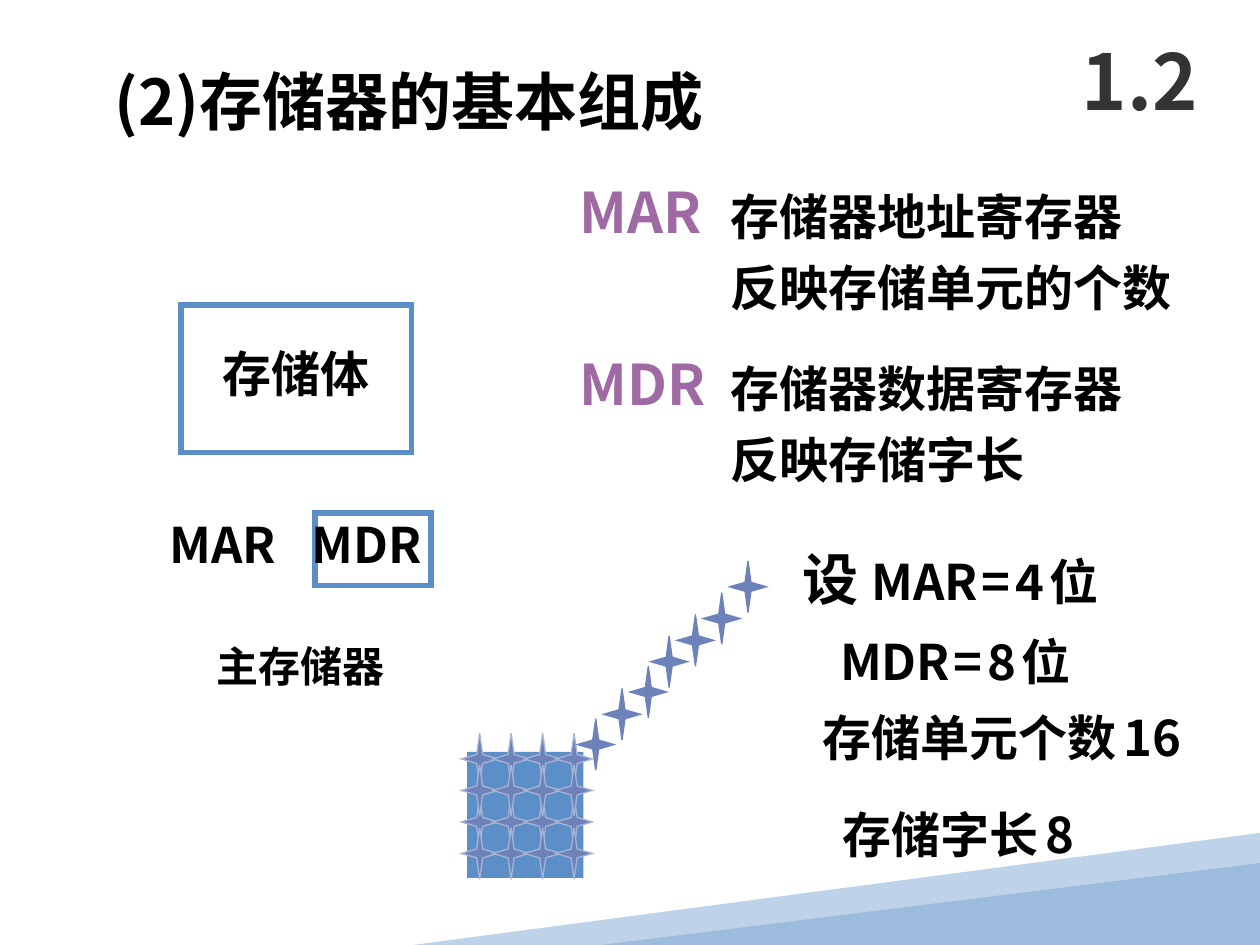
from lxml.etree import SubElement
from pptx import Presentation
from pptx.dml.color import RGBColor
from pptx.enum.shapes import MSO_SHAPE as Shape
from pptx.enum.text import MSO_ANCHOR as Anchor, MSO_AUTO_SIZE as AutoSize, PP_ALIGN as Align
from pptx.oxml.ns import qn
from pptx.util import Cm, Pt

FONT = "Noto Sans CJK SC"
BLUE, STAR, PURPLE = "5C8FC7", "6E82BA", "9F69A3"


def color(value):
    return RGBColor.from_string(value)


def paint(shape, fill=None, line=None, width=0.75):
    shape.shadow.inherit = False
    if fill:
        shape.fill.solid()
        shape.fill.fore_color.rgb = color(fill)
    else:
        shape.fill.background()
    if line:
        shape.line.color.rgb = color(line)
        shape.line.width = Pt(width)
        outline = shape._element.spPr.find(qn("a:ln"))
        SubElement(outline, qn("a:miter")).set("lim", "800000")
    else:
        shape.line.fill.background()


def add_preset(shapes, kind, box, **style):
    shape = shapes.add_shape(kind, *map(Cm, box))
    paint(shape, **style)
    return shape


def add_outline(shapes, points, **style):
    first, *rest = [(Cm(x), Cm(y)) for x, y in points]
    builder = shapes.build_freeform(*first)
    builder.add_line_segments(rest, close=True)
    paint(builder.convert_to_shape(), **style)


def add_text(slide, box, lines, size, ink="000000", align=Align.LEFT,
             before=7, margins=(0.25, 0.13), fit=True):
    frame = slide.shapes.add_textbox(*map(Cm, box)).text_frame
    frame.word_wrap = True
    frame.auto_size = AutoSize.SHAPE_TO_FIT_TEXT if fit else AutoSize.NONE
    frame.margin_left = frame.margin_right = Cm(margins[0])
    frame.margin_top = frame.margin_bottom = Cm(margins[1])
    for index, line in enumerate(lines):
        paragraph = frame.add_paragraph() if index else frame.paragraphs[0]
        if index:
            paragraph.space_before = Pt(before)
        paragraph.alignment = align
        paragraph.font.size = Pt(size)
        paragraph.font.bold = True
        paragraph.font.color.rgb = color(ink)
        paragraph.font.name = FONT
        defaults = paragraph._p.pPr.find(qn("a:defRPr"))
        SubElement(defaults, qn("a:ea")).set("typeface", FONT)
        for text, run_size in [(line, size)] if isinstance(line, str) else line:
            run = paragraph.add_run()
            run.text = text
            if run_size != size:
                run.font.size = Pt(run_size)
    return frame


def add_corner_band(slide, left, top, width, height):
    shapes = slide.shapes.add_group_shape().shapes
    right, bottom = left + width, top + height
    add_outline(shapes, [(right, top), (right, bottom - 0.15),
                         (left + 8.76, bottom), (left, bottom)], fill="BED2E9")
    triangle = add_preset(shapes, Shape.ISOSCELES_TRIANGLE,
                          (left + 3.79, top + 0.61, width - 3.79, height - 0.61), fill="9DBCDD")
    triangle.adjustments[0] = 1


def add_star(slide, x, y, line):
    offsets = [(-0.37, 0), (-0.06, -0.09), (0, -0.52), (0.06, -0.09),
               (0.37, 0), (0.06, 0.09), (0, 0.52), (-0.06, 0.09)]
    add_outline(slide.shapes, [(x + dx, y + dy) for dx, dy in offsets], fill=STAR, line=line)


def add_star_grid(slide, left, top, width, height):
    add_preset(slide.shapes, Shape.RECTANGLE, (left, top, width, height), fill=BLUE)
    step = height / 4
    for row in (0, 2, 1, 3):
        for column in range(4):
            add_star(slide, left + 0.25 + column * step, top + 0.14 + row * step, "A8B4D6")


def add_star_trail(slide, left, bottom):
    trail = [(0, 0), (0.53, 0.61), (1.06, 1.06), (1.48, 1.67),
             (2.01, 2.1), (2.54, 2.54), (3.07, 3.18)]
    for right, up in trail:
        add_star(slide, left + right, bottom - up, STAR)


def add_heading(slide, left, top):
    add_text(slide, (left, top, 13.5, 1.78), ["(2)存储器的基本组成"], 36)
    number = add_text(slide, (left + 19.33, top - 0.71, 3.18, 2.34), ["1.2"], 44,
                      ink="333333", align=Align.CENTER, fit=False)
    number.vertical_anchor = Anchor.MIDDLE


def add_register_note(slide, left, top, name, lines):
    add_text(slide, (left, top, 3.4, 1.63), [name], 32, ink=PURPLE)
    add_text(slide, (left + 3.05, top + 0.18, 10, 2.87), lines, 28)


def add_main_memory(slide, left, top):
    add_text(slide, (left + 0.9, top + 6.76, 3.98, 1.02), ["主存储器"], 24,
             align=Align.CENTER, margins=(0, 0))
    add_text(slide, (left + 0.77, top + 0.64, 4.05, 1.45), ["存储体"], 28, align=Align.CENTER)
    for box in [(left + 0.48, top, 4.65, 2.97), (left + 3.18, top + 4.19, 2.34, 1.47)]:
        add_preset(slide.shapes, Shape.RECTANGLE, box, line=BLUE, width=3)
    for offset, name in [(0, "MAR"), (2.87, "MDR")]:
        add_text(slide, (left + offset, top + 4.09, 3.1, 1.45), [name], 28)


def register_width(name, bits):
    return [(name, 28), (" ", 9), ("=", 28), (" ", 12), (bits, 28), (" ", 14), ("位", 28)]


def add_example(slide, left, top):
    widths = add_text(slide, (left, top, 9.47, 3.23),
                      [[("设 ", 32)] + register_width("MAR", "4"), register_width("MDR", "8")],
                      28, before=11)
    widths.paragraphs[1]._p.get_or_add_pPr().set("marL", str(Cm(0.76)))
    for x, y, label, value in [(0.41, 3.28, "存储单元个数", "16"), (0.81, 5.23, "存储字长", "8")]:
        add_text(slide, (left + x, top + y, 9, 1.45),
                 [[(label, 28), (" ", 18), (value, 28)]], 28)


def main():
    presentation = Presentation()
    presentation.slide_width, presentation.slide_height = Cm(25.4), Cm(19.05)
    slide = presentation.slides.add_slide(presentation.slide_layouts[6])
    add_corner_band(slide, 8.33, 16.79, 17.07, 2.26)
    add_star_grid(slide, 9.42, 15.16, 2.34, 2.54)
    add_star_trail(slide, 12.01, 15.01)
    add_heading(slide, 2.06, 1.14)
    add_register_note(slide, 11.43, 3.45, "MAR", ["存储器地址寄存器", "反映存储单元的个数"])
    add_register_note(slide, 11.43, 6.91, "MDR", ["存储器数据寄存器", "反映存储字长"])
    add_main_memory(slide, 3.17, 6.15)
    add_example(slide, 15.93, 10.85)
    presentation.save("out.pptx")


if __name__ == "__main__":
    main()
